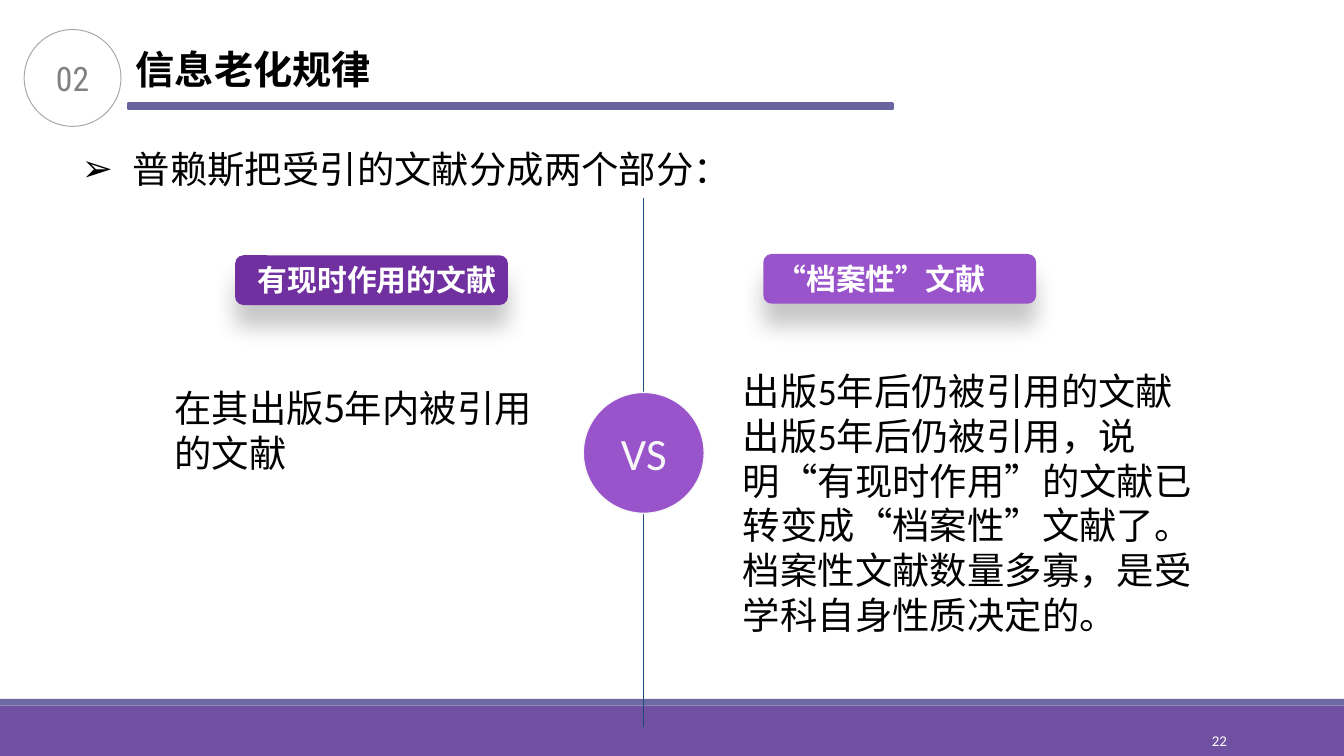
from dataclasses import dataclass
from lxml import etree
from pptx import Presentation
from pptx.dml.color import RGBColor
from pptx.enum.shapes import MSO_CONNECTOR, MSO_SHAPE
from pptx.enum.text import MSO_ANCHOR, PP_ALIGN
from pptx.oxml import parse_xml
from pptx.oxml.ns import nsdecls, qn
from pptx.util import Inches, Pt

RECT, ROUND, OVAL = MSO_SHAPE.RECTANGLE, MSO_SHAPE.ROUNDED_RECTANGLE, MSO_SHAPE.OVAL
LEFT, CENTER, RIGHT = PP_ALIGN.LEFT, PP_ALIGN.CENTER, PP_ALIGN.RIGHT
TOP, MIDDLE = MSO_ANCHOR.TOP, MSO_ANCHOR.MIDDLE
STRAIGHT = MSO_CONNECTOR.STRAIGHT


@dataclass(frozen=True)
class Theme:
    band: str = "7050A0"
    stripe: str = "6D69A3"
    rule: str = "6964A0"
    current: str = "7030A0"
    archive: str = "9954CC"
    divider: str = "1F497D"
    ring: str = "A6A6A6"
    number: str = "808080"
    ink: str = "000000"
    white: str = "FFFFFF"
    pale: str = "F8F8F8"
    cjk: str = "Noto Sans CJK SC"
    latin: str = "Calibri"
    narrow: str = "Roboto Condensed"
    title: int = 21
    body: int = 20
    tag: int = 16
    badge: int = 18
    versus: int = 24
    page_number: int = 8


theme = Theme()


def write(box, *lines, size, color=theme.ink, font=theme.cjk, bold=False,
          align=LEFT, anchor=TOP, wrap=True, inset=(0.1, 0.05)):
    frame = box.text_frame
    frame.word_wrap = wrap
    frame.vertical_anchor = anchor
    frame.margin_left = frame.margin_right = Inches(inset[0])
    frame.margin_top = frame.margin_bottom = Inches(inset[1])
    for index, text in enumerate(lines):
        para = frame.paragraphs[0] if index == 0 else frame.add_paragraph()
        para.alignment = align
        para.line_spacing = Pt(size * 1.2)
        span = para.add_run()
        span.text = text
        span.font.size = Pt(size)
        span.font.bold = bold
        span.font.name = font
        span.font.color.rgb = RGBColor.from_string(color)
        etree.SubElement(span.font._element, qn("a:ea"), typeface=theme.cjk)
    return frame


def draw(kind, left, top, width, height, fill=None, line=None, weight=0.75):
    shape = page.shapes.add_shape(
        kind, Inches(left), Inches(top), Inches(width), Inches(height))
    shape.shadow.inherit = False
    if fill:
        shape.fill.solid()
        shape.fill.fore_color.rgb = RGBColor.from_string(fill)
    else:
        shape.fill.background()
    if line:
        shape.line.color.rgb = RGBColor.from_string(line)
        shape.line.width = Pt(weight)
    else:
        shape.line.fill.background()
    return shape


deck = Presentation()
deck.slide_width, deck.slide_height = Inches(10), Inches(10 * 9 / 16)
page = deck.slides.add_slide(deck.slide_layouts[5])

draw(RECT, 0, 5.25, 10, 0.38, fill=theme.band)
draw(RECT, 0, 5.2, 10, 0.05, fill=theme.stripe)
page_number = page.shapes.add_textbox(Inches(8.12), Inches(5.36), Inches(1.08), Inches(0.3))
write(page_number, "22", size=theme.page_number, color=theme.white, font=theme.latin,
      align=RIGHT, anchor=MIDDLE, inset=(0.07, 0.04))

draw(RECT, 0.95, 0.77, 5.69, 0.04, fill=theme.rule, line=theme.rule, weight=1.25)
badge = draw(OVAL, 0.18, 0.22, 0.72, 0.72, line=theme.ring, weight=0.5)
write(badge, "02", size=theme.badge, color=theme.number, font=theme.narrow,
      align=CENTER, anchor=MIDDLE, inset=(0.07, 0.04))

title = page.shapes.title
title.left, title.top, title.width, title.height = map(Inches, (0.94, 0.3, 1.93, 0.43))
write(title, "信息老化规律", size=theme.title, bold=True, wrap=False, inset=(0.07, 0.04))

intro = page.shapes.add_textbox(Inches(0.51), Inches(1.04), Inches(9.17), Inches(0.76))
intro_para = write(intro, "普赖斯把受引的文献分成两个部分：",
                   size=theme.body, font=theme.latin).paragraphs[0]
intro_para.space_before = Pt(2)
intro_format = intro_para._p.get_or_add_pPr()
intro_format.set("marL", str(Inches(0.38)))
intro_format.set("indent", str(-Inches(0.38)))
etree.SubElement(intro_format, qn("a:buFont"), typeface=theme.latin)
etree.SubElement(intro_format, qn("a:buChar"), char="➢")

for start, end in ((1.47, 3.07), (3.82, 5.41)):
    divider = page.shapes.add_connector(
        STRAIGHT, Inches(4.79), Inches(start), Inches(4.79), Inches(end))
    divider.line.color.rgb = RGBColor.from_string(theme.divider)
    divider.line.width = Pt(0.75)
    etree.SubElement(divider._element.spPr, qn("a:effectLst"))

versus = draw(OVAL, 4.34, 2.92, 0.9, 0.9, fill=theme.archive, line=theme.pale)
write(versus, "VS", size=theme.versus, color=theme.pale, font=theme.latin,
      align=CENTER, anchor=MIDDLE, wrap=False)

tags = (
    ("有现时作用的文献", 1.75, 1.9, theme.current, 1.78, 2.01, RIGHT),
    ("“档案性”文献", 5.68, 1.89, theme.archive, 5.68, 1.78, LEFT),
)
for text, left, top, fill, text_left, text_width, align in tags:
    tag = draw(ROUND, left, top, 2.03, 0.37, fill=fill)
    tag._element.spPr.find(qn("a:effectLst")).append(parse_xml(
        f'<a:outerShdw {nsdecls("a")} blurRad="{Pt(12)}" dist="{Pt(12)}" dir="5400000" '
        f'rotWithShape="0"><a:srgbClr val="{theme.ink}"><a:alpha val="22000"/>'
        '</a:srgbClr></a:outerShdw>'))
    label = page.shapes.add_textbox(
        Inches(text_left), Inches(top), Inches(text_width), Inches(0.37))
    write(label, text, size=theme.tag, color=theme.white, bold=True, align=align, wrap=False)

current_note = page.shapes.add_textbox(Inches(1.2), Inches(2.82), Inches(2.98), Inches(0.77))
write(current_note, "在其出版5年内被引用的文献", size=theme.body)

archive_note = page.shapes.add_textbox(Inches(5.43), Inches(2.69), Inches(3.57), Inches(2.12))
write(archive_note,
      "出版5年后仍被引用的文献",
      "出版5年后仍被引用，说明“有现时作用”的文献已转变成“档案性”文献了。",
      "档案性文献数量多寡，是受学科自身性质决定的。",
      size=theme.body, font=theme.latin)

deck.save("out.pptx")
